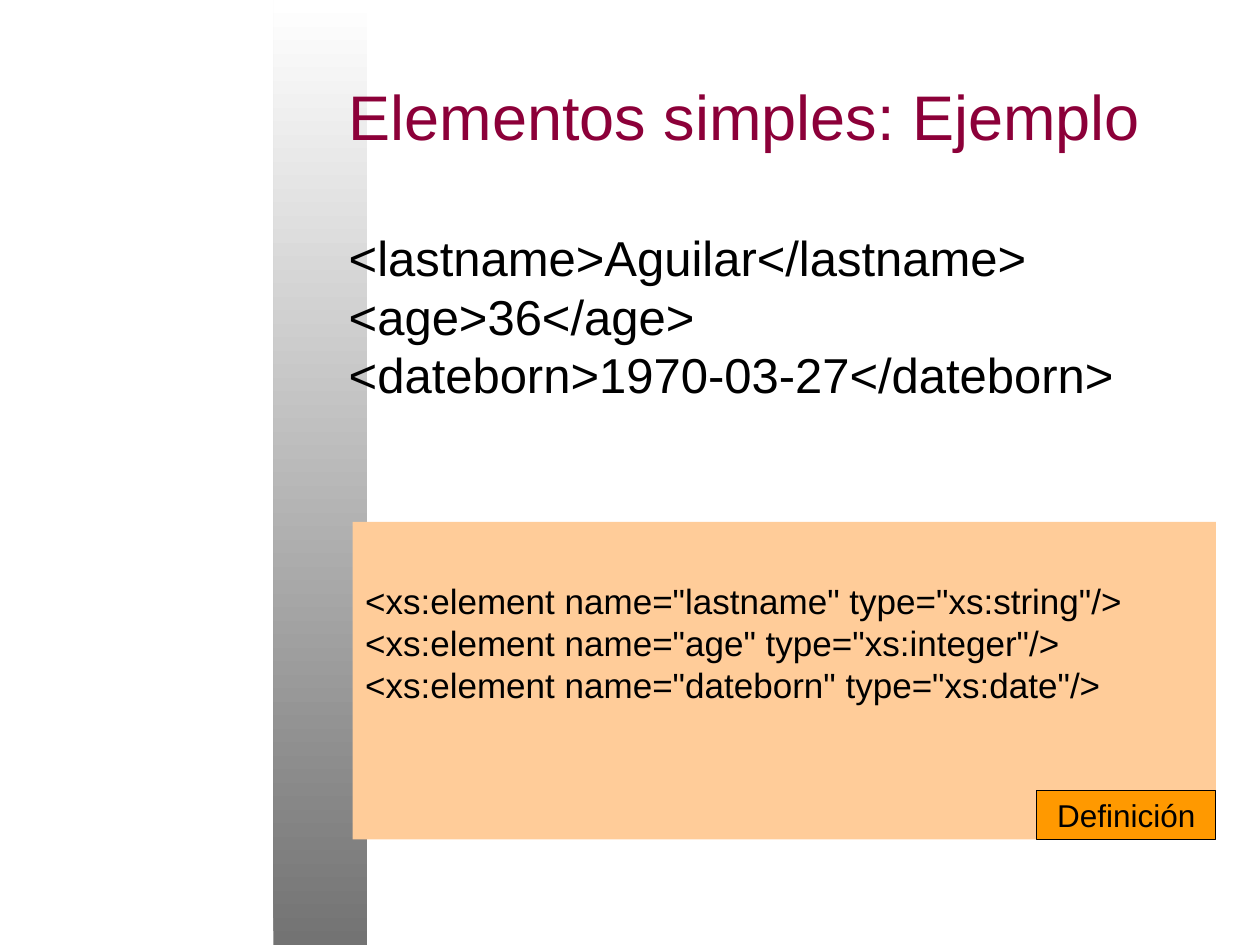
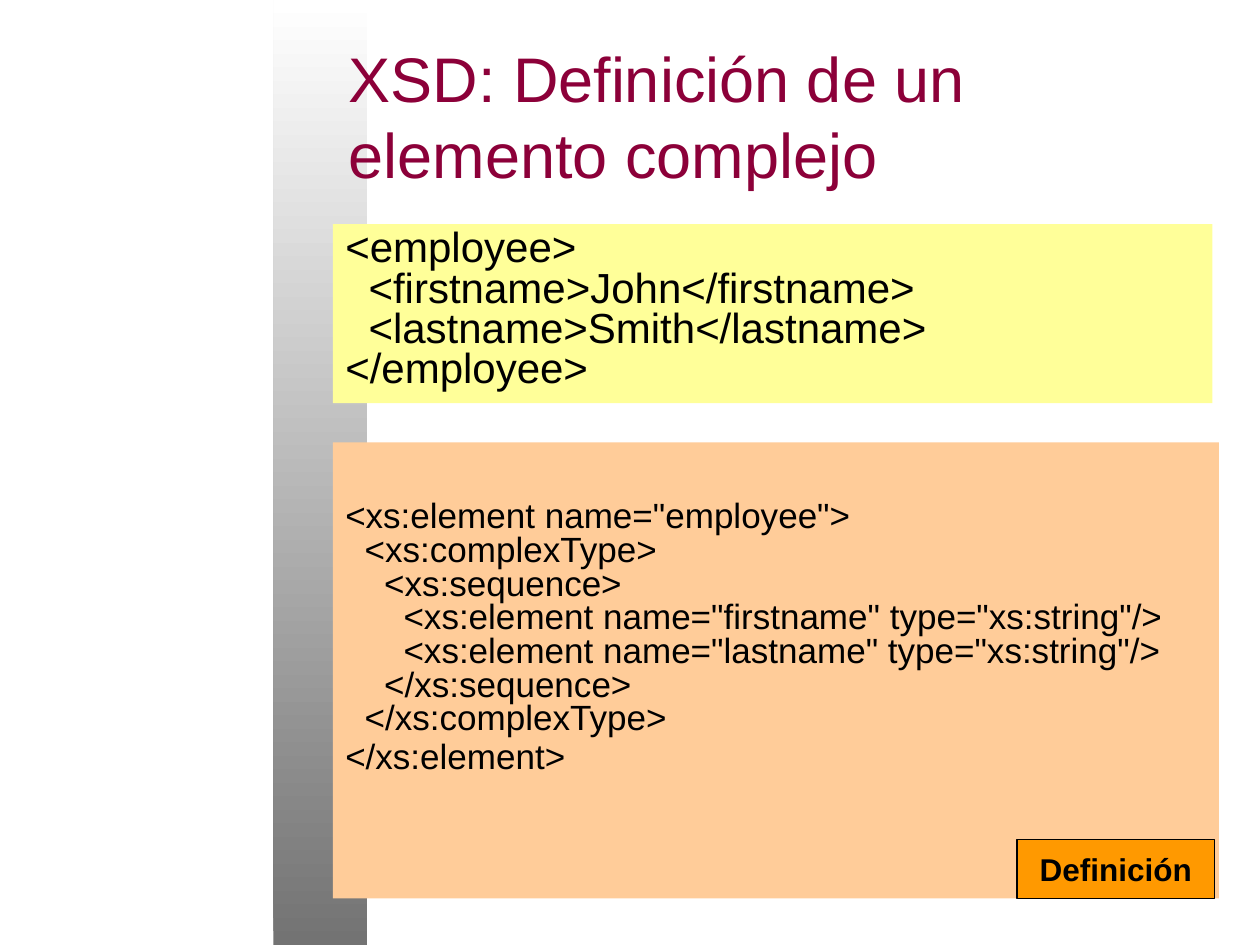
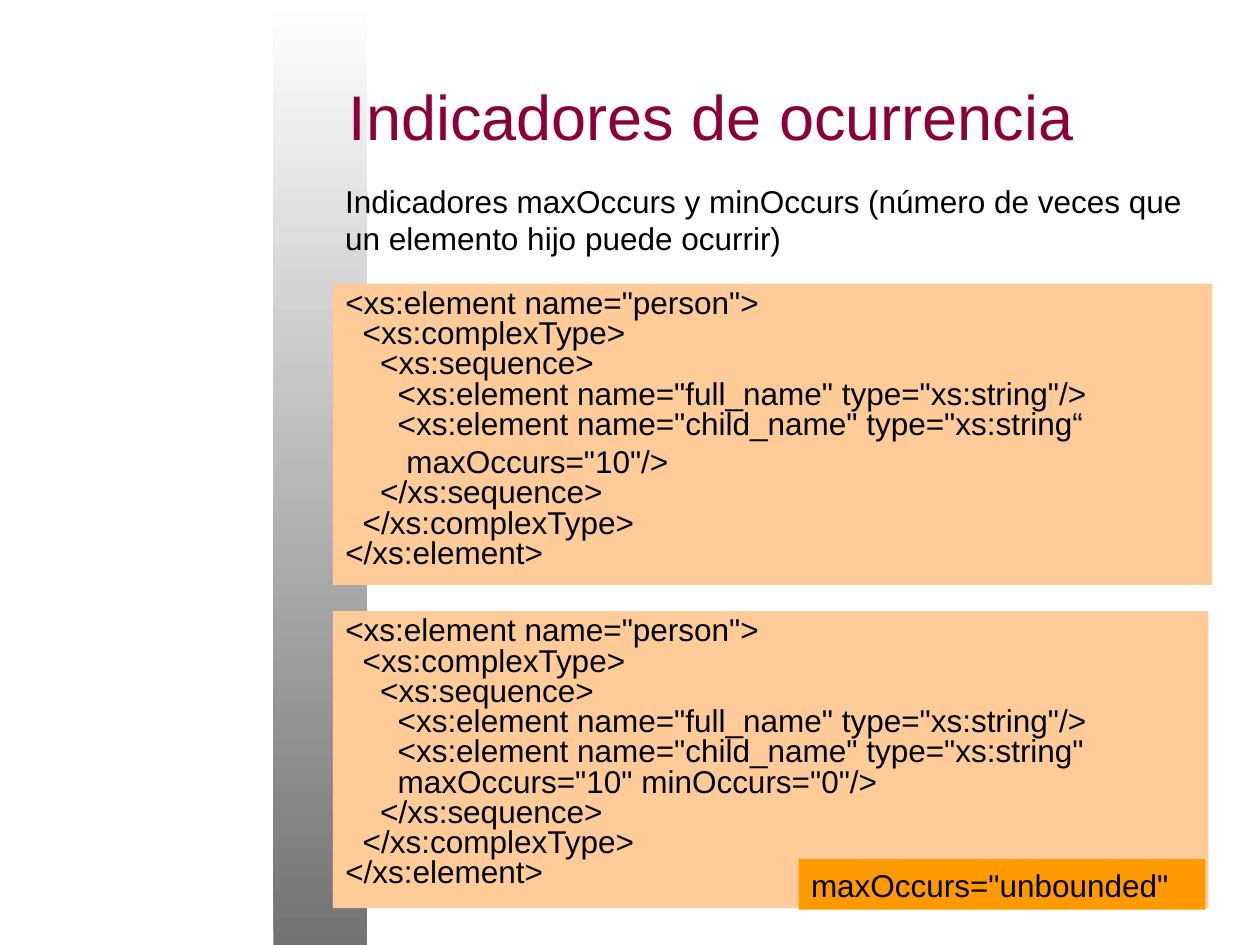
"""Builds three slides on XSD simple elements, complex elements and occurrence indicators."""
from copy import deepcopy

from lxml.etree import SubElement
from pptx import Presentation
from pptx.dml.color import RGBColor
from pptx.enum.shapes import MSO_SHAPE as Preset
from pptx.enum.text import MSO_ANCHOR as Anchor, MSO_AUTO_SIZE as AutoSize, PP_ALIGN as Align
from pptx.oxml.ns import qn
from pptx.util import Cm, Pt

COLORS = {
    "title": "8C0039", "text": "000000", "band_low": "737373", "band_high": "FFFFFF",
    "instance": "FFFF99", "definition": "FFCC99", "tag": "FF9900",
}
FONT = "Arial"
TITLE_BOX = (6.78, 0.64, 17.78, 3.38)
BAND_BOX = (5.51, 0, 1.9, 19.05)
INSET = 0.13

SLIDES = [
    {
        "title": "Elementos simples: Ejemplo",
        "panels": [
            {"box": (6.78, 4.45, 17.73, 4.29), "size": 28, "code": ["""\
<lastname>Aguilar</lastname>
<age>36</age>
<dateborn>1970-03-27</dateborn>"""]},
            {"box": (7.11, 10.52, 17.4, 6.4), "size": 20, "fill": "definition", "top": 1.17, "code": ["""\
<xs:element name="lastname" type="xs:string"/>
<xs:element name="age" type="xs:integer"/>
<xs:element name="dateborn" type="xs:date"/>"""]},
        ],
        "tag": {"text": "Definición", "box": (20.9, 15.93, 3.61, 0.99), "framed": True},
    },
    {
        "title": "XSD: Definición de un elemento complejo",
        "panels": [
            {"box": (6.71, 4.52, 17.73, 3.61), "size": 24, "fill": "instance", "spacing": 0.8, "code": ["""\
<employee>
  <firstname>John</firstname>
  <lastname>Smith</lastname>
</employee>"""]},
            {"box": (6.71, 8.92, 17.86, 9.19), "size": 20, "fill": "definition", "spacing": 0.8,
             "top": 1.2, "gap": 3, "code": ["""\
<xs:element name="employee">
  <xs:complexType>
    <xs:sequence>
      <xs:element name="firstname" type="xs:string"/>
      <xs:element name="lastname" type="xs:string"/>
    </xs:sequence>
  </xs:complexType>""", "</xs:element>"]},
        ],
        "tag": {"text": "Definición", "box": (20.5, 16.92, 3.99, 1.19), "framed": True, "bold": True},
    },
    {
        "title": "Indicadores de ocurrencia",
        "panels": [
            {"box": (6.71, 5.72, 17.73, 6.07), "size": 18, "fill": "definition", "spacing": 0.8,
             "gap": 4.5, "code": ["""\
<xs:element name="person">
  <xs:complexType>
    <xs:sequence>
      <xs:element name="full_name" type="xs:string"/>
      <xs:element name="child_name" type="xs:string“""", """\
       maxOccurs="10"/>
    </xs:sequence>
  </xs:complexType>
</xs:element>"""]},
            {"box": (6.71, 12.32, 17.65, 5.99), "size": 18, "fill": "definition", "spacing": 0.8, "code": ["""\
<xs:element name="person">
  <xs:complexType>
    <xs:sequence>
      <xs:element name="full_name" type="xs:string"/>
      <xs:element name="child_name" type="xs:string"
      maxOccurs="10" minOccurs="0"/>
    </xs:sequence>
  </xs:complexType>
</xs:element>"""]},
        ],
        "intro": {"text": "Indicadores maxOccurs y minOccurs (número de veces que un elemento hijo puede ocurrir)",
                  "box": (6.71, 3.53, 17.6, 1.78)},
        "tag": {"text": 'maxOccurs="unbounded"', "box": (16.1, 17.32, 8.2, 1.02)},
    },
]


def rgb(role):
    return RGBColor.from_string(COLORS[role])


def apply(target, settings):
    for attribute, value in settings.items():
        setattr(target, attribute, value)


def lengths(box):
    return [Cm(value) for value in box]


def place(shape, box):
    apply(shape, dict(zip(("left", "top", "width", "height"), lengths(box))))


def paint(shape, role):
    shape.fill.solid()
    shape.fill.fore_color.rgb = rgb(role)


def write(shape, paragraphs, size, color="text", bold=False, align=Align.LEFT,
          anchor=Anchor.TOP, top=INSET, gap=0, spacing=1.0, wrap=True):
    frame = shape.text_frame
    apply(frame, {"auto_size": AutoSize.NONE, "word_wrap": wrap, "vertical_anchor": anchor,
                  "margin_left": Cm(0.25), "margin_right": Cm(0.25),
                  "margin_top": Cm(top), "margin_bottom": Cm(INSET)})
    for index, text in enumerate(paragraphs):
        paragraph = frame.add_paragraph() if index else frame.paragraphs[0]
        paragraph.text = text
        apply(paragraph, {"alignment": align, "line_spacing": spacing,
                          "space_before": Pt(gap if index else 0), "space_after": Pt(0)})
        for run in paragraph.runs:
            apply(run.font, {"name": FONT, "size": Pt(size), "bold": bold})
            run.font.color.rgb = rgb(color)
        for line_break in paragraph._p.findall(qn("a:br")):
            line_break.append(deepcopy(paragraph.runs[0]._r.rPr))


def remove_bullets(shape):
    for paragraph in shape.text_frame.paragraphs:
        properties = paragraph._p.get_or_add_pPr()
        properties.set("marL", "0")
        properties.set("indent", "0")
        SubElement(properties, qn("a:buNone"))


def add_band(layout, slide):
    band = slide.shapes.add_shape(Preset.RECTANGLE, *lengths(BAND_BOX))
    band.shadow.inherit = False
    band.line.fill.background()
    band.fill.gradient()
    band.fill.gradient_angle = 90
    for stop, role in zip(band.fill.gradient_stops, ("band_low", "band_high")):
        stop.color.rgb = rgb(role)
    layout.shapes.element.insert(2, band.element)


def add_panel(body, panel):
    place(body, panel["box"])
    if "fill" in panel:
        paint(body, panel["fill"])
    options = {key: panel[key] for key in ("top", "gap", "spacing") if key in panel}
    write(body, panel["code"], panel["size"], **options)
    remove_bullets(body)


def add_tag(slide, tag):
    label = slide.shapes.add_shape(Preset.RECTANGLE, *lengths(tag["box"]))
    label.shadow.inherit = False
    paint(label, "tag")
    if tag.get("framed"):
        label.line.color.rgb = rgb("text")
        label.line.width = Pt(0.75)
        options = {"align": Align.CENTER, "anchor": Anchor.MIDDLE, "wrap": False}
    else:
        label.line.fill.background()
        options = {}
    write(label, [tag["text"]], 18, bold=tag.get("bold", False), **options)


def main():
    deck = Presentation()
    apply(deck, {"slide_width": Cm(25.4), "slide_height": Cm(19.05)})
    layout = deck.slide_layouts[3]
    for number, content in enumerate(SLIDES):
        slide = deck.slides.add_slide(layout)
        if number == 0:
            add_band(layout, slide)
        title, *bodies = slide.placeholders
        place(title, TITLE_BOX)
        write(title, [content["title"]], 36, color="title", anchor=Anchor.MIDDLE)
        for body, panel in zip(bodies, content["panels"]):
            add_panel(body, panel)
        if "intro" in content:
            intro = slide.shapes.add_textbox(*lengths(content["intro"]["box"]))
            write(intro, [content["intro"]["text"]], 18)
        add_tag(slide, content["tag"])
    deck.save("out.pptx")


if __name__ == "__main__":
    main()
